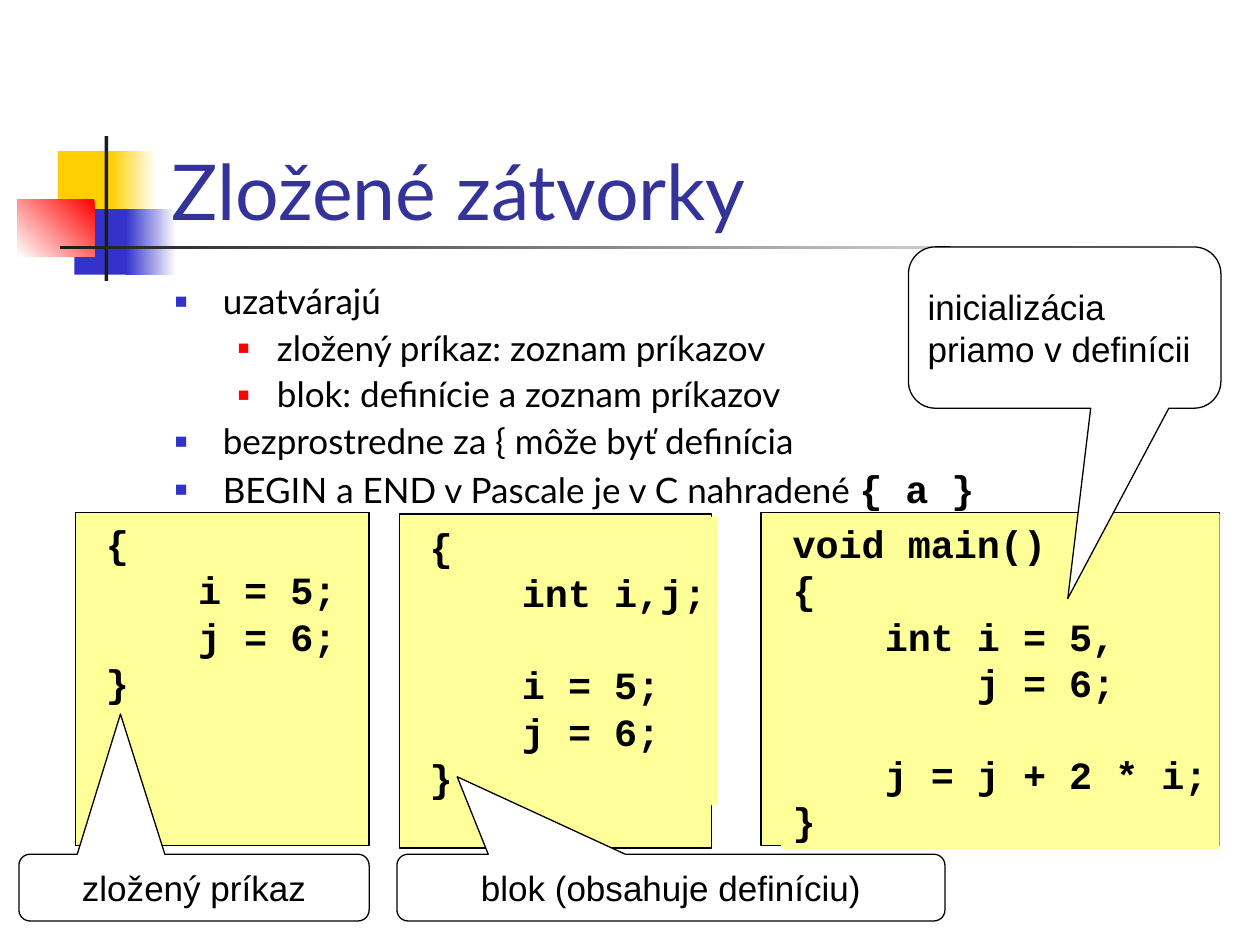
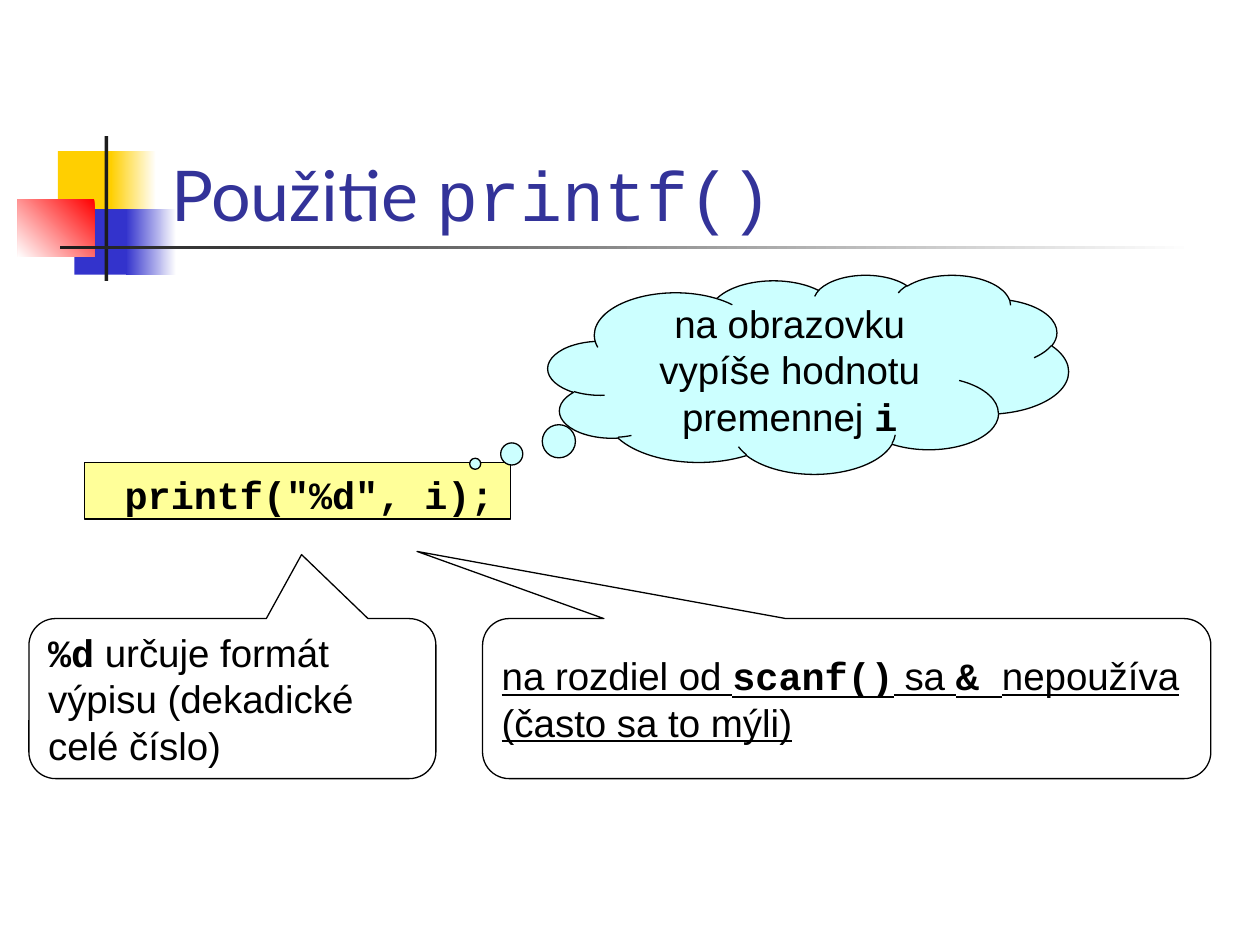
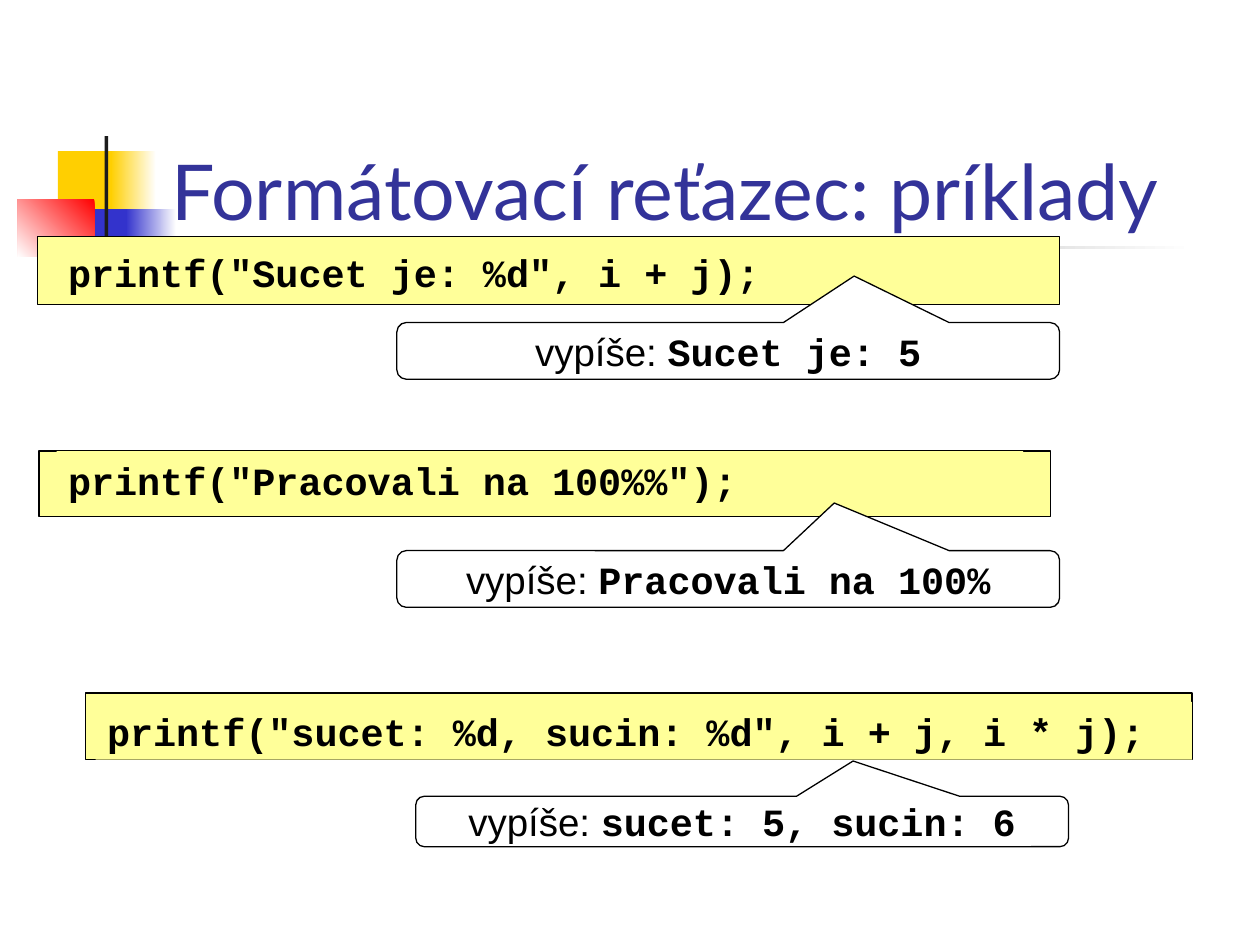
from lxml import etree
from pptx import Presentation
from pptx import util as u
from pptx.dml.color import RGBColor
from pptx.enum import shapes, text
from pptx.oxml.ns import qn

PX = 9144
WHITE = RGBColor(0xFF, 0xFF, 0xFF)
BLACK = RGBColor(0, 0, 0)
INK = RGBColor(0x1C, 0x1C, 0x1C)
YELLOW = RGBColor(0xFF, 0xCF, 0x01)
BLUE = RGBColor(0x33, 0x33, 0xCC)
RED = RGBColor(0xFF, 0, 0)
TITLE_BLUE = RGBColor(0x33, 0x33, 0x99)
CODE_YELLOW = RGBColor(0xFF, 0xFF, 0x99)
CLOUD_BLUE = RGBColor(0xCC, 0xFF, 0xFF)
SANS, MONO, HEADING = "Arial", "Courier New", "Lato"
CODE = {"font": MONO, "bold": True}
LINE_FACTOR = 1.2
CALLOUT = shapes.MSO_SHAPE.ROUNDED_RECTANGULAR_CALLOUT
CLOUD = shapes.MSO_SHAPE.CLOUD_CALLOUT
LEFT, CENTER = text.PP_ALIGN.LEFT, text.PP_ALIGN.CENTER
TOP, MIDDLE, BOTTOM = (text.MSO_ANCHOR.TOP, text.MSO_ANCHOR.MIDDLE,
                       text.MSO_ANCHOR.BOTTOM)


def emu(box):
    """Turn a box in px into EMU."""
    return [u.Emu(length * PX) for length in box]


def add_run(paragraph, content, font=SANS, size=22, color=BLACK, bold=False,
            underline=False):
    """Add one formatted run."""
    run = paragraph.add_run()
    run.text = content
    run.font.name = font
    run.font.size = u.Pt(size)
    run.font.color.rgb = color
    run.font.bold = bold
    run.font.underline = underline


def write(shape, paragraphs, align=LEFT, anchor=TOP, wrap=True, inset=9,
          spacing=None, **style):
    """Fill a shape with paragraphs, each a string or a list of (text, style) runs."""
    frame = shape.text_frame
    frame.word_wrap = wrap
    frame.vertical_anchor = anchor
    frame.margin_left = frame.margin_right = u.Emu(inset * PX)
    frame.margin_top = frame.margin_bottom = u.Emu(5 * PX)
    for index, content in enumerate(paragraphs):
        paragraph = frame.add_paragraph() if index else frame.paragraphs[0]
        paragraph.alignment = align
        if spacing:
            paragraph.line_spacing = spacing
        runs = [(content, {})] if isinstance(content, str) else content
        for words, override in runs:
            add_run(paragraph, words, **{**style, **override})


def add_box(slide, box, fill, kind=shapes.MSO_SHAPE.RECTANGLE, line=None):
    """Add a preset shape with a flat fill and an optional thin outline."""
    shape = slide.shapes.add_shape(kind, *emu(box))
    shape.shadow.inherit = False
    shape.fill.solid()
    shape.fill.fore_color.rgb = fill
    if line is None:
        shape.line.fill.background()
    else:
        shape.line.color.rgb = line
        shape.line.width = u.Pt(0.75)
    return shape


def add_fade(slide, box, start, end, angle=180):
    """Add a rectangle that fades from one colour to another."""
    fill = add_box(slide, box, end).fill
    fill.gradient()
    fill.gradient_angle = angle
    for stop, color in zip(fill.gradient_stops, (start, end)):
        stop.color.rgb = color


def add_ornament(slide):
    """Draw the coloured squares and the rules beside the title."""
    add_box(slide, (46, 120, 48, 52), YELLOW)
    add_fade(slide, (88, 120, 36, 52), WHITE, YELLOW)
    add_box(slide, (59, 166, 46, 52), BLUE)
    add_fade(slide, (100, 166, 40, 52), WHITE, BLUE)
    add_fade(slide, (14, 158, 61, 46), RED, WHITE, angle=225)
    add_box(slide, (83, 108, 3, 115), INK)
    add_fade(slide, (48, 195, 900, 3), WHITE, INK)


def start_slide(presentation, title, size=44):
    """Add a blank slide with the ornament and a title."""
    slide = presentation.slides.add_slide(presentation.slide_layouts[6])
    add_ornament(slide)
    title_box = slide.shapes.add_textbox(*emu((126, 67, 852, 125)))
    write(title_box, [title], anchor=BOTTOM, inset=10, font=HEADING, size=size,
          color=TITLE_BLUE)
    return slide


def set_bullet(paragraph, color, percent, margin, indent):
    """Give a paragraph a square bullet and a hanging indent."""
    properties = paragraph._p.get_or_add_pPr()
    properties.set("marL", str(margin * PX))
    properties.set("indent", str(-indent * PX))
    bullet_color = etree.SubElement(properties, qn("a:buClr"))
    etree.SubElement(bullet_color, qn("a:srgbClr"), val=str(color))
    etree.SubElement(properties, qn("a:buSzPct"), val=str(percent * 1000))
    etree.SubElement(properties, qn("a:buFont"), typeface=SANS)
    etree.SubElement(properties, qn("a:buChar"), char="■")


def add_bullets(slide, box, items):
    """Write a bulleted list of (level, content) items."""
    body = slide.shapes.add_textbox(*emu(box))
    write(body, [content for level, content in items], inset=10, spacing=0.9,
          font=HEADING, size=20)
    for index, paragraph in enumerate(body.text_frame.paragraphs):
        if index:
            paragraph.space_before = u.Pt(5)
        if items[index][0]:
            set_bullet(paragraph, RED, 55, 81, 31)
        else:
            set_bullet(paragraph, BLUE, 60, 38, 38)


def add_code(slide, panel, listing, lines, fill=CODE_YELLOW, wrap=True):
    """Draw an outlined panel and a listing box placed from the panel's corner."""
    add_box(slide, panel, CODE_YELLOW, line=BLACK)
    left, top, width, height = listing
    place = (panel[0] + left, panel[1] + top, width, height)
    if fill is None:
        shape = slide.shapes.add_textbox(*emu(place))
    else:
        shape = add_box(slide, place, fill)
    write(shape, lines, wrap=wrap, spacing=u.Pt(22 * LINE_FACTOR), **CODE)


def add_callout(slide, box, tip, content, kind=CALLOUT, fill=WHITE, size=22,
                align=CENTER, **style):
    """Draw a callout whose tip is a share of its size away from its centre."""
    shape = add_box(slide, box, fill, kind=kind, line=BLACK)
    shape.adjustments[0], shape.adjustments[1] = tip
    write(shape, [content], align=align, anchor=MIDDLE, size=size,
          spacing=u.Pt(size * LINE_FACTOR), **style)


def build_braces(presentation):
    """Build the slide on braces."""
    slide = start_slide(presentation, "Zložené zátvorky")
    add_bullets(slide, (129, 221, 850, 204), [
        (0, "uzatvárajú"),
        (1, "zložený príkaz: zoznam príkazov"),
        (1, "blok: definície a zoznam príkazov"),
        (0, "bezprostredne za { môže byť definícia"),
        (0, [("BEGIN a END v Pascale je v C nahradené ", {}),
             ("{ a }", {**CODE, "size": 22})]),
    ])
    add_code(slide, (317, 408, 248, 265), (15, 2, 238, 229),
             ["{", "    int i,j;", "", "    i = 5;", "    j = 6;", "}"], wrap=False)
    add_code(slide, (604, 407, 364, 264), (16, 1, 348, 266),
             ["void main()", "{", "    int i = 5,", "        j = 6;", "",
              "    j = j + 2 * i;", "}"], wrap=False)
    add_code(slide, (60, 407, 233, 264), (15, 1, 201, 156),
             ["{", "    i = 5;", "    j = 6;", "}"], wrap=False)
    add_callout(slide, (15, 678, 278, 53), (-0.21, -2.6), "zložený príkaz", size=20)
    add_callout(slide, (315, 678, 435, 53), (-0.39, -1.66),
                "blok (obsahuje definíciu)", size=20)
    add_callout(slide, (721, 196, 248, 128), (0.01, 1.68),
                "inicializácia priamo v definícii", size=20, align=LEFT)


def build_printf(presentation):
    """Build the slide on the use of printf()."""
    slide = start_slide(presentation,
                        [("Použitie ", {}), ("printf()", {"font": MONO})], size=40)
    add_code(slide, (67, 367, 338, 45), (23, 2, 323, 46), ['printf("%d", i);'],
             fill=None)
    add_callout(slide, (435, 218, 413, 158), (-0.64, 0.45),
                [("na obrazovku vypíše hodnotu premennej ", {}), ("i", CODE)],
                kind=CLOUD, fill=CLOUD_BLUE)
    add_callout(slide, (23, 491, 323, 127), (0.17, -0.9),
                [("%d", CODE), (" určuje formát výpisu (dekadické celé číslo)", {})],
                align=LEFT)
    add_callout(slide, (383, 491, 578, 127), (-0.59, -0.92),
                [("na rozdiel od ", {}), ("scanf()", CODE), (" sa ", {}),
                 ("& ", CODE), ("nepoužíva (často sa to mýli)", {})],
                align=LEFT, underline=True)


def build_examples(presentation):
    """Build the slide with format string examples and their output."""
    slide = start_slide(presentation, "Formátovací reťazec: príklady")
    examples = [
        ((30, 188, 811, 54), (15, 5, 774, 46), 'printf("Sucet je: %d", i + j);',
         (315, 256, 526, 45), (0.19, -1.32), "Sucet je: 5"),
        ((31, 358, 803, 52), (14, 0, 767, 46), 'printf("Pracovali na 100%%");',
         (315, 437, 526, 45), (0.16, -1.34), "Pracovali na 100%"),
        ((68, 550, 878, 53), (8, 7, 870, 46),
         'printf("sucet: %d, sucin: %d", i + j, i * j);',
         (330, 632, 518, 40), (0.17, -1.2), "sucet: 5, sucin: 6"),
    ]
    for panel, listing, code, callout, tip, output in examples:
        add_code(slide, panel, listing, [code])
        add_callout(slide, callout, tip, [("vypíše: ", {}), (output, CODE)])


def main():
    """Build and save the presentation."""
    presentation = Presentation()
    presentation.slide_width, presentation.slide_height = emu((1000, 750))
    build_braces(presentation)
    build_printf(presentation)
    build_examples(presentation)
    presentation.save("out.pptx")


if __name__ == "__main__":
    main()
